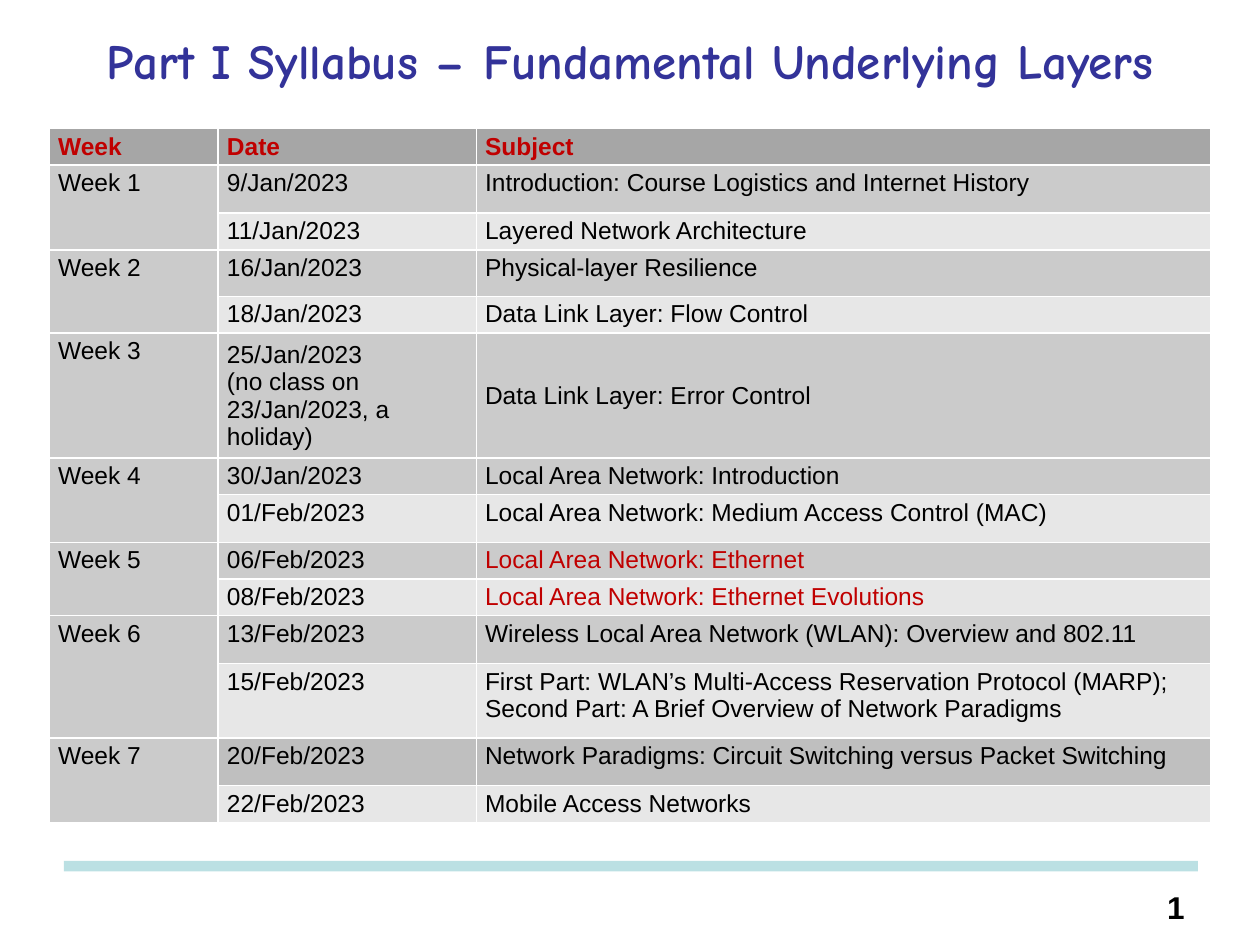
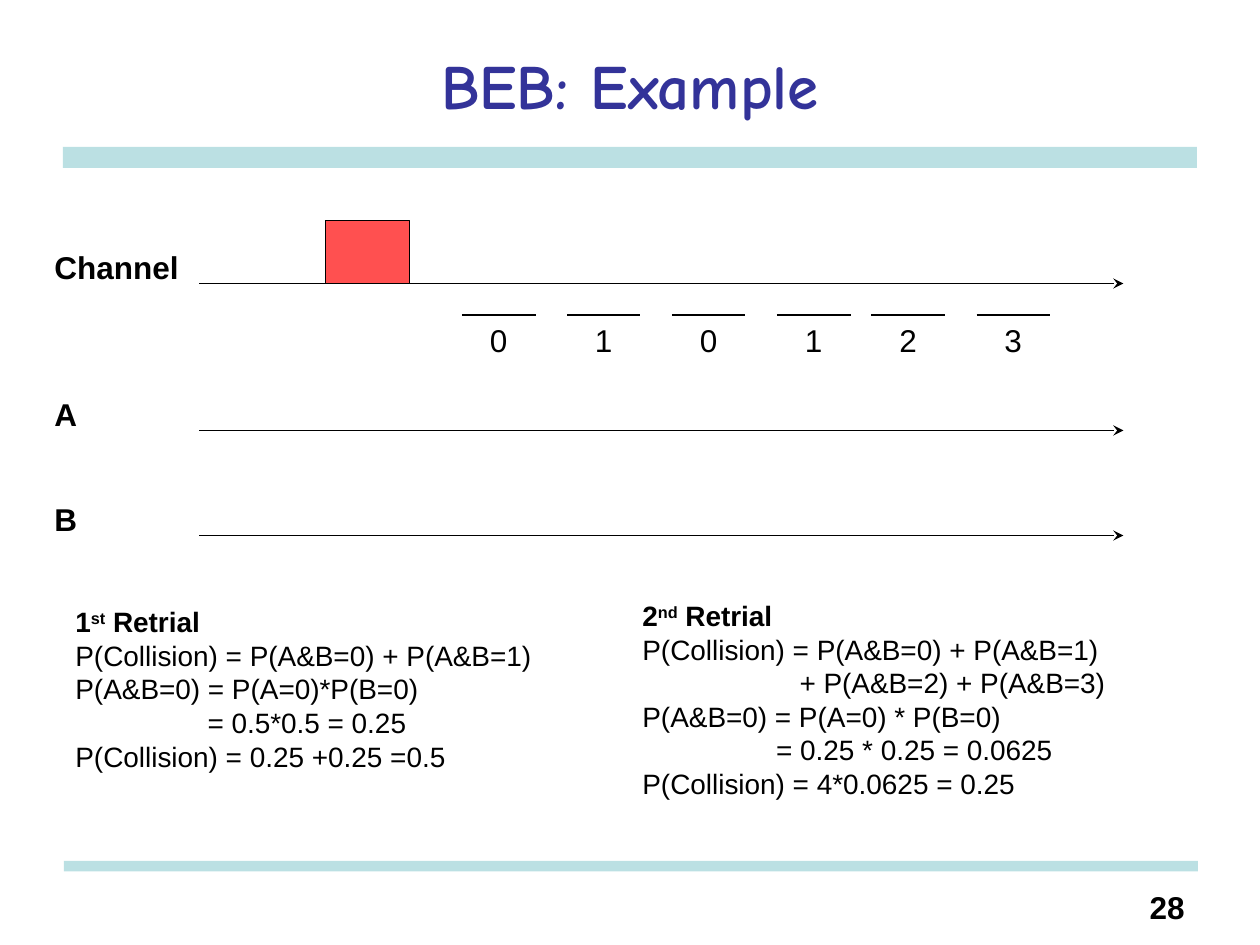
import dataclasses

import lxml.etree
import pptx
import pptx.dml.color
import pptx.enum.shapes
import pptx.enum.text
import pptx.oxml
import pptx.oxml.ns
import pptx.util

Pt = pptx.util.Pt
Align = pptx.enum.text.PP_ALIGN
Anchor = pptx.enum.text.MSO_ANCHOR
RECTANGLE = pptx.enum.shapes.MSO_SHAPE.RECTANGLE
qn = pptx.oxml.ns.qn
rgb = pptx.dml.color.RGBColor.from_string


@dataclasses.dataclass(frozen=True)
class Theme:
    title = rgb("333399")
    band = rgb("BBE0E3")
    ink = rgb("000000")
    accent = rgb("C00000")
    frame = rgb("FF5050")
    header = rgb("A6A6A6")
    dark = rgb("CBCBCB")
    light = rgb("E7E7E7")
    circuit = rgb("BFBFBF")
    grid = "FFFFFF"
    title_font = "Comic Neue"
    body_font = "Arial"
    label_size = Pt(18)
    formula_size = Pt(16)
    table_size = Pt(14)


theme = Theme()


def add_text(page, text, bounds, size=theme.label_size, bold=False,
             align=Align.LEFT, font=theme.body_font, color=theme.ink):
    box = page.shapes.add_textbox(*[Pt(length) for length in bounds])
    box.text_frame.word_wrap = True
    box.text_frame.text = text
    for para in box.text_frame.paragraphs:
        para.alignment = align
        para.font.name, para.font.size, para.font.bold = font, size, bold
        para.font.color.rgb = color
    return box.text_frame


def add_line(page, left, right, height, arrow=False):
    line = page.shapes.add_connector(
        pptx.enum.shapes.MSO_CONNECTOR.STRAIGHT,
        Pt(left), Pt(height), Pt(right), Pt(height))
    line.line.color.rgb = theme.ink
    line.line.width = Pt(1)
    if arrow:
        lxml.etree.SubElement(line.line._get_or_add_ln(), qn("a:tailEnd"), type="stealth")
    lxml.etree.SubElement(line._element.spPr, qn("a:effectLst"))


deck = pptx.Presentation()
deck.slide_width, deck.slide_height = Pt(720), Pt(540)

# Shared parts: bands, title and slide number
bands = [(36, 84, 648, 12), (36.5, 492, 648, 6)]
frames = [
    ("Part I Syllabus – Fundamental Underlying Layers", (8, 16.5, 704, 42), 28, 0.8, "1"),
    ("BEB: Example", (36, 12, 648, 72), 36, 1, "28"),
]
pages = []
for title, bounds, size, spacing, number in frames:
    page = deck.slides.add_slide(deck.slide_layouts[6])
    pages.append(page)
    for band_bounds in bands:
        band = page.shapes.add_shape(RECTANGLE, *[Pt(length) for length in band_bounds])
        band.shadow.inherit = False
        band.fill.solid()
        band.fill.fore_color.rgb = theme.band
        band.line.fill.background()
    heading = add_text(page, title, bounds, Pt(size), True, Align.CENTER,
                       theme.title_font, theme.title)
    heading.vertical_anchor = Anchor.MIDDLE
    heading.paragraphs[0].line_spacing = spacing
    add_text(page, number, (636, 504, 48, 30), bold=True, align=Align.RIGHT)
syllabus_page, example_page = pages

# Syllabus: one entry per class as (row height, date, subject), grouped by week
weeks = [
    [(27.4, "9/Jan/2023", "Introduction: Course Logistics and Internet History"),
     (20.9, "11/Jan/2023", "Layered Network Architecture")],
    [(26.6, "16/Jan/2023", "Physical-layer Resilience"),
     (20.9, "18/Jan/2023", "Data Link Layer: Flow Control")],
    [(68.2, "25/Jan/2023\v(no class on 23/Jan/2023, a holiday)",
      "Data Link Layer: Error Control")],
    [(20.9, "30/Jan/2023", "Local Area Network: Introduction"),
     (27.4, "01/Feb/2023", "Local Area Network: Medium Access Control (MAC)")],
    [(20.9, "06/Feb/2023", "Local Area Network: Ethernet"),
     (20.9, "08/Feb/2023", "Local Area Network: Ethernet Evolutions")],
    [(27.4, "13/Feb/2023", "Wireless Local Area Network (WLAN): Overview and 802.11"),
     (42.5, "15/Feb/2023",
      "First Part: WLAN’s Multi-Access Reservation Protocol (MARP);\n"
      "Second Part: A Brief Overview of Network Paradigms")],
    [(27.4, "20/Feb/2023", "Network Paradigms: Circuit Switching versus Packet Switching"),
     (20.9, "22/Feb/2023", "Mobile Access Networks")],
]
rows = [(20.9, "Week", "Date", "Subject", theme.header)]
merges = []
for week_number, classes in enumerate(weeks, 1):
    if len(classes) == 2:
        merges.append(len(rows))
    for order, (height, date, subject) in enumerate(classes):
        week = "" if order else f"Week {week_number}"
        fill = theme.light if order else theme.dark
        if "Circuit" in subject:
            fill = theme.circuit
        rows.append((height, week, date, subject, fill))

column_widths = (96.5, 147.5, 419.5)
table = syllabus_page.shapes.add_table(
    len(rows), len(column_widths), Pt(28.2), Pt(73.5), Pt(sum(column_widths)),
    Pt(sum(row[0] for row in rows))).table
table.horz_banding = False
for column, width in zip(table.columns, column_widths):
    column.width = Pt(width)

for row_index, (height, *texts, fill) in enumerate(rows):
    table.rows[row_index].height = Pt(height)
    for column_index, text in enumerate(texts):
        cell = table.cell(row_index, column_index)
        cell.margin_left = cell.margin_right = Pt(5)
        cell.margin_top, cell.margin_bottom = Pt(2.5), Pt(1.6)
        if column_index and "Error Control" in texts[2]:
            cell.vertical_anchor = Anchor.MIDDLE
        for side in ("lnL", "lnR", "lnT", "lnB"):
            border = lxml.etree.SubElement(
                cell._tc.get_or_add_tcPr(), qn(f"a:{side}"), w=str(Pt(1)))
            paint = lxml.etree.SubElement(border, qn("a:solidFill"))
            lxml.etree.SubElement(paint, qn("a:srgbClr"), val=theme.grid)
        cell.fill.solid()
        in_week_column = row_index and column_index == 0
        cell.fill.fore_color.rgb = theme.dark if in_week_column else fill
        cell.text_frame.text = text
        for para in cell.text_frame.paragraphs:
            para.font.name, para.font.size = theme.body_font, theme.table_size
            para.font.bold = row_index == 0
            marked = row_index == 0 or "Ethernet" in text
            para.font.color.rgb = theme.accent if marked else theme.ink
            # A line break carries its own type size
            for line_break in para._p.findall(qn("a:br")):
                lxml.etree.SubElement(line_break, qn("a:rPr"),
                                      sz=str(int(theme.table_size.pt * 100)))
for first in merges:
    table.cell(first, 0).merge(table.cell(first + 1, 0))

# Timelines of the channel and both stations
for name, height in (("Channel", 162), ("A", 246), ("B", 306)):
    add_line(example_page, 114, 642, height, arrow=True)
    add_text(example_page, name, (24, height - 24, 90, 29), bold=True)

# Collided frame on the channel
collision = example_page.shapes.add_shape(RECTANGLE, Pt(186), Pt(126), Pt(48), Pt(36))
collision.shadow.inherit = False
collision.fill.solid()
collision.fill.fore_color.rgb = theme.frame
collision.line.color.rgb = theme.ink
collision.line.width = Pt(1)

# Backoff slots of the first retrial (two) and the second (four)
slot_width = 42
for left, slot in zip((264, 324, 384, 444, 498, 558), "010123"):
    add_line(example_page, left, left + slot_width, 180)
    add_text(example_page, slot, (left, 180, slot_width, 36), align=Align.CENTER)

# Collision probabilities: each line with its indent
retrials = [
    ((36, 342, 300, 104), ("1", "st"), [
        ("P(Collision) = P(A&B=0) + P(A&B=1)", 0),
        ("P(A&B=0) = P(A=0)*P(B=0)", 0),
        ("= 0.5*0.5 = 0.25", 75.5),
        ("P(Collision) = 0.25 +0.25 =0.5", 0)]),
    ((360, 338.5, 300, 124), ("2", "nd"), [
        ("P(Collision) = P(A&B=0) + P(A&B=1)", 0),
        ("+ P(A&B=2) + P(A&B=3)", 89.8),
        ("P(A&B=0) = P(A=0) * P(B=0)", 0),
        ("= 0.25 * 0.25 = 0.0625", 76.4),
        ("P(Collision) = 4*0.0625 = 0.25", 0)]),
]
for bounds, (digit, ordinal), formulas in retrials:
    lines = "\n".join(["", *[formula for formula, indent in formulas]])
    heading, *paras = add_text(example_page, lines, bounds, theme.formula_size).paragraphs
    heading.font.bold = True
    for text in (digit, ordinal, " Retrial"):
        span = heading.add_run()
        span.text = text
        if text == ordinal:
            span._r.get_or_add_rPr().set("baseline", "30000")
    for para, (formula, indent) in zip(paras, formulas):
        if indent:
            para._p.get_or_add_pPr().set("marL", str(Pt(indent)))

deck.save("out.pptx")
